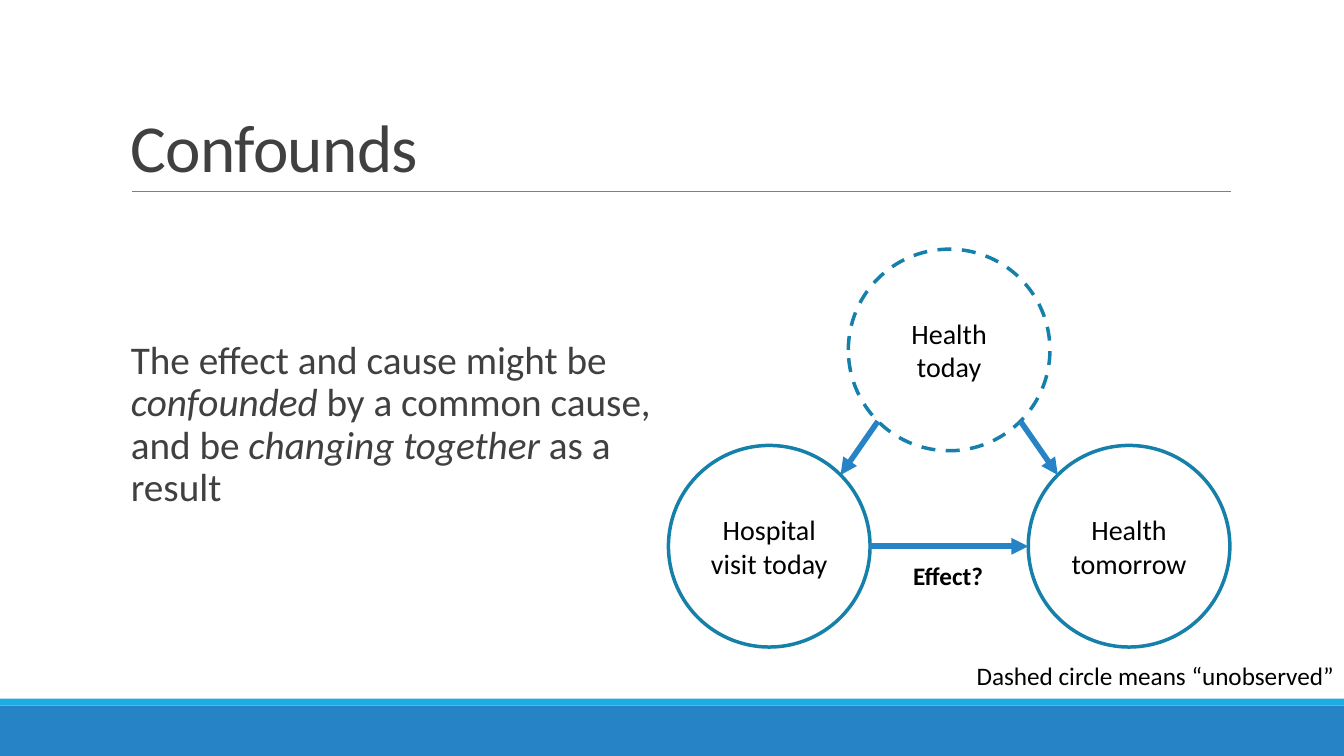
from math import sqrt
from pptx import Presentation
from pptx.dml.color import RGBColor
from pptx.enum.dml import MSO_LINE as Dash
from pptx.enum.shapes import MSO_CONNECTOR as Link, MSO_SHAPE as Kind
from pptx.enum.text import MSO_ANCHOR as Anchor, PP_ALIGN as Align
from pptx.oxml.ns import qn
from pptx.util import Pt
from lxml.etree import SubElement

BLUE, CYAN, TEAL = "2683C6", "1CADE4", "1580A9"
GREY, DARK, BLACK = "808080", "404040", "000000"
WIDE, HIGH = 960, 540
RAD = 72
DIAG = RAD / sqrt(2)


def color(code):
    """Turn a hex string into a colour."""
    return RGBColor.from_string(code)


def apply(item, style):
    """Set each attribute of the item from a dict."""
    for name, value in style.items():
        setattr(item, name, value)


class Page:
    """Hold the style and the slide being drawn."""

    font = "Calibri"

    def __init__(self, slide):
        """Keep the slide's shapes."""
        self.shapes = slide.shapes

    def label(self, shape, runs, size, tint=BLACK, bold=False,
              frame=None, para=None, track=0):
        """Fill a shape with one paragraph of (text, italic) runs."""
        body = shape.text_frame
        apply(body, {"word_wrap": True, **(frame or {})})
        line = body.paragraphs[0]
        apply(line, para or {})
        for words, slant in runs:
            run = line.add_run()
            run.text = words
            apply(run.font, {"name": self.font, "size": Pt(size),
                             "bold": bold, "italic": slant})
            run.font.color.rgb = color(tint)
            if track:
                run.font._element.set("spc", str(track))

    def text(self, box, runs, size, **style):
        """Add a text box."""
        shape = self.shapes.add_textbox(*map(Pt, box))
        self.label(shape, runs, size, **style)

    def band(self, top, height, tint):
        """Add a full-width bar."""
        bar = self.shapes.add_shape(Kind.RECTANGLE, 0, Pt(top),
                                    Pt(WIDE), Pt(height))
        bar.shadow.inherit = False
        bar.fill.solid()
        bar.fill.fore_color.rgb = color(tint)
        bar.line.fill.background()

    def node(self, x, y, words, dash=None):
        """Add a labelled circle around a centre."""
        ring = self.shapes.add_shape(Kind.OVAL, Pt(x - RAD), Pt(y - RAD),
                                     Pt(2 * RAD), Pt(2 * RAD))
        ring.shadow.inherit = False
        ring.fill.background()
        ring.line.color.rgb = color(TEAL)
        apply(ring.line, {"width": Pt(2.5), "dash_style": dash})
        self.label(ring, [(words, False)], 20,
                   frame={"vertical_anchor": Anchor.MIDDLE},
                   para={"alignment": Align.CENTER})

    def line(self, start, end, tint, width, arrow=False):
        """Add a straight line, with an arrowhead if asked."""
        link = self.shapes.add_connector(Link.STRAIGHT,
                                         *map(Pt, (*start, *end)))
        link.line.color.rgb = color(tint)
        link.line.width = Pt(width)
        if arrow:
            SubElement(link.line._get_or_add_ln(), qn("a:tailEnd"),
                       type="triangle")
        SubElement(link._element.spPr, qn("a:effectLst"))


deck = Presentation()
apply(deck, {"slide_width": Pt(WIDE), "slide_height": Pt(HIGH)})
page = Page(deck.slides.add_slide(deck.slide_layouts[6]))

page.band(504, 36, BLUE)
page.band(499, 5, CYAN)
page.line((94.2, 136.8), (879, 136.8), GREY, 0.5)

page.text((86.4, 22.3, 792, 114.5), [("Confounds", False)], 48, tint=DARK,
          frame={"vertical_anchor": Anchor.BOTTOM},
          para={"line_spacing": 0.85}, track=-50)
page.text((86.4, 145.4, 388.8, 316.8),
          [("The effect and cause might be ", False),
           ("confounded", True),
           (" by a common cause, and be ", False),
           ("changing together ", True),
           ("as a result", False)], 28, tint=DARK,
          frame={"vertical_anchor": Anchor.MIDDLE, "margin_right": 0},
          para={"line_spacing": 0.9, "space_before": Pt(12),
                "space_after": Pt(2)})

mid, step, top, base = 678, 128.5, 250, 390.2
page.node(mid + step, base, "Health tomorrow")
page.node(mid - step, base, "Hospital visit today")
page.node(mid, top, "Health today", Dash.DASH)

page.line((mid - step + RAD, base), (mid + step - RAD, base), BLUE, 4, True)
for side in (-1, 1):
    page.line((mid + side * DIAG, top + DIAG),
              (mid + side * (step - DIAG), base - DIAG), BLUE, 4, True)

page.text((645.1, 396.7, 65.8, 28.8), [("Effect?", False)], 18, bold=True)
page.text((669, 468, 291, 28.8),
          [("Dashed circle means “unobserved”", False)], 18,
          para={"alignment": Align.RIGHT})

deck.save("out.pptx")
